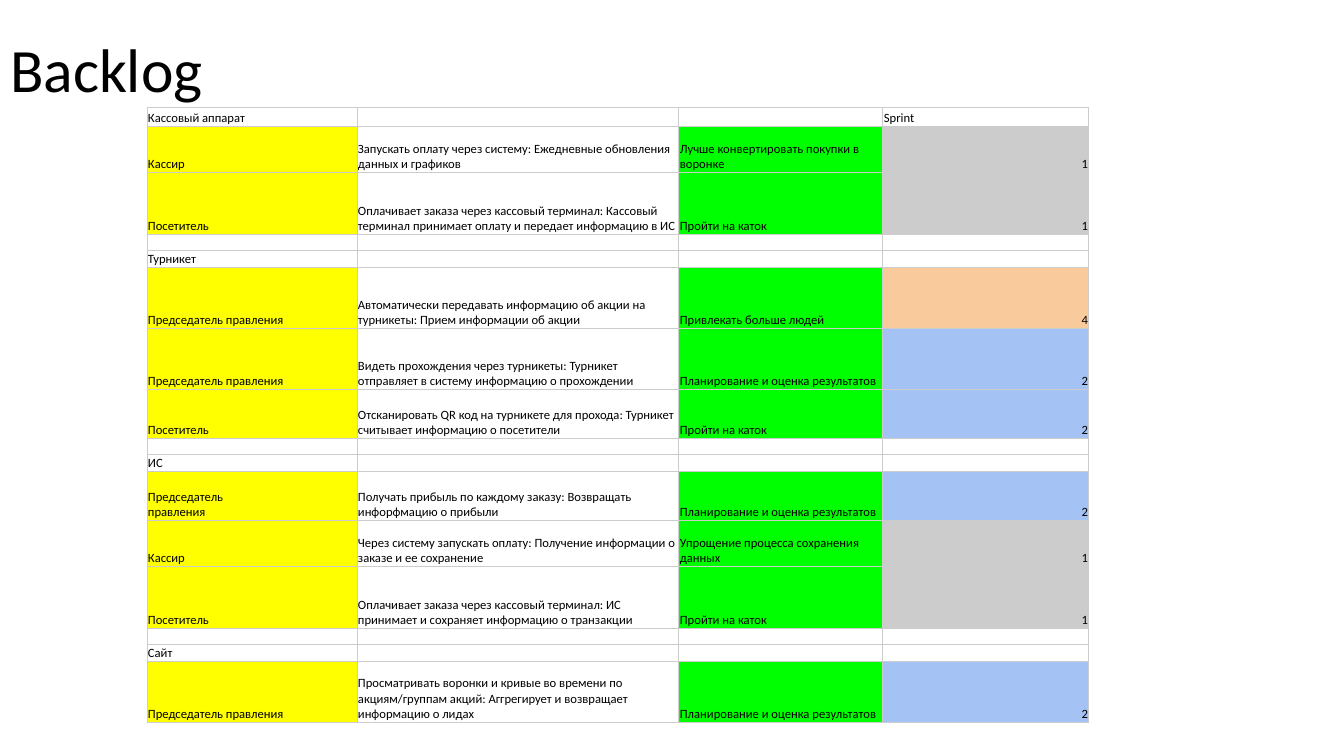
import pptx
import pptx.util
import pptx.dml.color
import pptx.enum.text
import pptx.oxml.ns
from lxml import etree

ALIGN = pptx.enum.text.PP_ALIGN
ANCHOR = pptx.enum.text.MSO_ANCHOR
tag = pptx.oxml.ns.qn

YELLOW, GREEN, WHITE = "FFFF00", "00FF00", "FFFFFF"
SPRINTS = {"1": "CCCCCC", "2": "A4C2F4", "4": "F9CB9C"}

COLS = [210, 322, 204, 206]
CHAIR, GUEST, CLERK = "Председатель правления", "Посетитель", "Кассир"
PLAN, RINK = "Планирование и оценка результатов", "Пройти на каток"

# Each row: height, then its texts
ROWS = [
    (20, "Кассовый аппарат", "", "", "Sprint"),
    (46, CLERK, "Запускать оплату через систему: Ежедневные обновления данных и графиков",
     "Лучше конвертировать покупки в воронке", "1"),
    (62, GUEST, "Оплачивает заказа через кассовый терминал: Кассовый терминал принимает "
     "оплату и передает информацию в ИС", RINK, "1"),
    (16, "", "", "", ""),
    (17, "Турникет", "", "", ""),
    (61, CHAIR, "Автоматически передавать информацию об акции на турникеты: "
     "Прием информации об акции", "Привлекать больше людей", "4"),
    (61, CHAIR, "Видеть прохождения через турникеты: Турникет отправляет в систему "
     "информацию о прохождении", PLAN, "2"),
    (49, GUEST, "Отсканировать QR код на турникете для прохода: Турникет считывает "
     "информацию о посетители", RINK, "2"),
    (16, "", "", "", ""),
    (17, "ИС", "", "", ""),
    (49, CHAIR.replace(" ", "\v"), "Получать прибыль по каждому заказу: Возвращать "
     "инфорфмацию о прибыли", PLAN, "2"),
    (46, CLERK, "Через систему запускать оплату: Получение информации о заказе и ее "
     "сохранение", "Упрощение процесса сохранения данных", "1"),
    (62, GUEST, "Оплачивает заказа через кассовый терминал: ИС принимает и сохраняет "
     "информацию о транзакции", RINK, "1"),
    (16, "", "", "", ""),
    (17, "Сайт", "", "", ""),
    (61, CHAIR, "Просматривать воронки и кривые во времени по акциям/группам акций: "
     "Аггрегирует и возвращает информацию о лидах", PLAN, "2"),
]


def px(n):
    return pptx.util.Emu(round(n * 914400 / 100.8))


def color(code):
    return pptx.dml.color.RGBColor.from_string(code)


class Board:
    font, ink, rule = "Calibri", "000000", "CCCCCC"

    def __init__(self, deck):
        self.slide = deck.slides.add_slide(deck.slide_layouts[5])

    def style(self, para, size, align=ALIGN.LEFT):
        para.alignment = align
        for run in para.runs:
            run.font.size = pptx.util.Pt(size)
            run.font.name = self.font
            run.font.color.rgb = color(self.ink)

    def title(self, text, left, top, width, height):
        box = self.slide.shapes.title
        box.left, box.top, box.width, box.height = map(px, (left, top, width, height))
        frame = box.text_frame
        frame.text = text
        frame.word_wrap = True
        frame.vertical_anchor = ANCHOR.MIDDLE
        frame.paragraphs[0].line_spacing = 0.9
        self.style(frame.paragraphs[0], 44)

    def border(self, cell):
        props = cell._tc.get_or_add_tcPr()
        for side in ("a:lnL", "a:lnR", "a:lnT", "a:lnB"):
            line = etree.SubElement(props, tag(side), w="9525")
            fill = etree.SubElement(line, tag("a:solidFill"))
            etree.SubElement(fill, tag("a:srgbClr"), val=self.rule)

    def cell(self, cell, text, fill):
        cell.margin_left = cell.margin_right = cell.margin_bottom = px(1)
        cell.margin_top = 0
        cell.vertical_anchor = ANCHOR.BOTTOM
        self.border(cell)
        cell.fill.solid()
        cell.fill.fore_color.rgb = color(fill)
        para = cell.text_frame.paragraphs[0]
        if text:
            para.text = text
            self.style(para, 9, ALIGN.RIGHT if text.isdigit() else ALIGN.LEFT)
        else:
            # Keeps empty rows low
            etree.SubElement(para._p, tag("a:endParaRPr"), sz="800")

    def table(self, left, top, cols, rows):
        high = sum(row[0] for row in rows)
        grid = self.slide.shapes.add_table(
            len(rows), len(cols), px(left), px(top), px(sum(cols)), px(high)).table
        grid.first_row = grid.horz_banding = False
        for col, width in zip(grid.columns, cols):
            col.width = px(width)
        for r, (height, *texts) in enumerate(rows):
            grid.rows[r].height = px(height)
            sprint = SPRINTS.get(texts[-1])
            fills = [YELLOW, WHITE, GREEN, sprint] if sprint else [WHITE] * 4
            for c, (text, fill) in enumerate(zip(texts, fills)):
                self.cell(grid.cell(r, c), text, fill)


def main():
    deck = pptx.Presentation()
    deck.slide_width, deck.slide_height = px(1344), px(756)
    board = Board(deck)
    # Heading
    board.title("Backlog", 0, 0, 1159, 146)
    # Stories by system, coloured by sprint
    board.table(147, 107, COLS, ROWS)
    deck.save("out.pptx")


if __name__ == "__main__":
    main()
